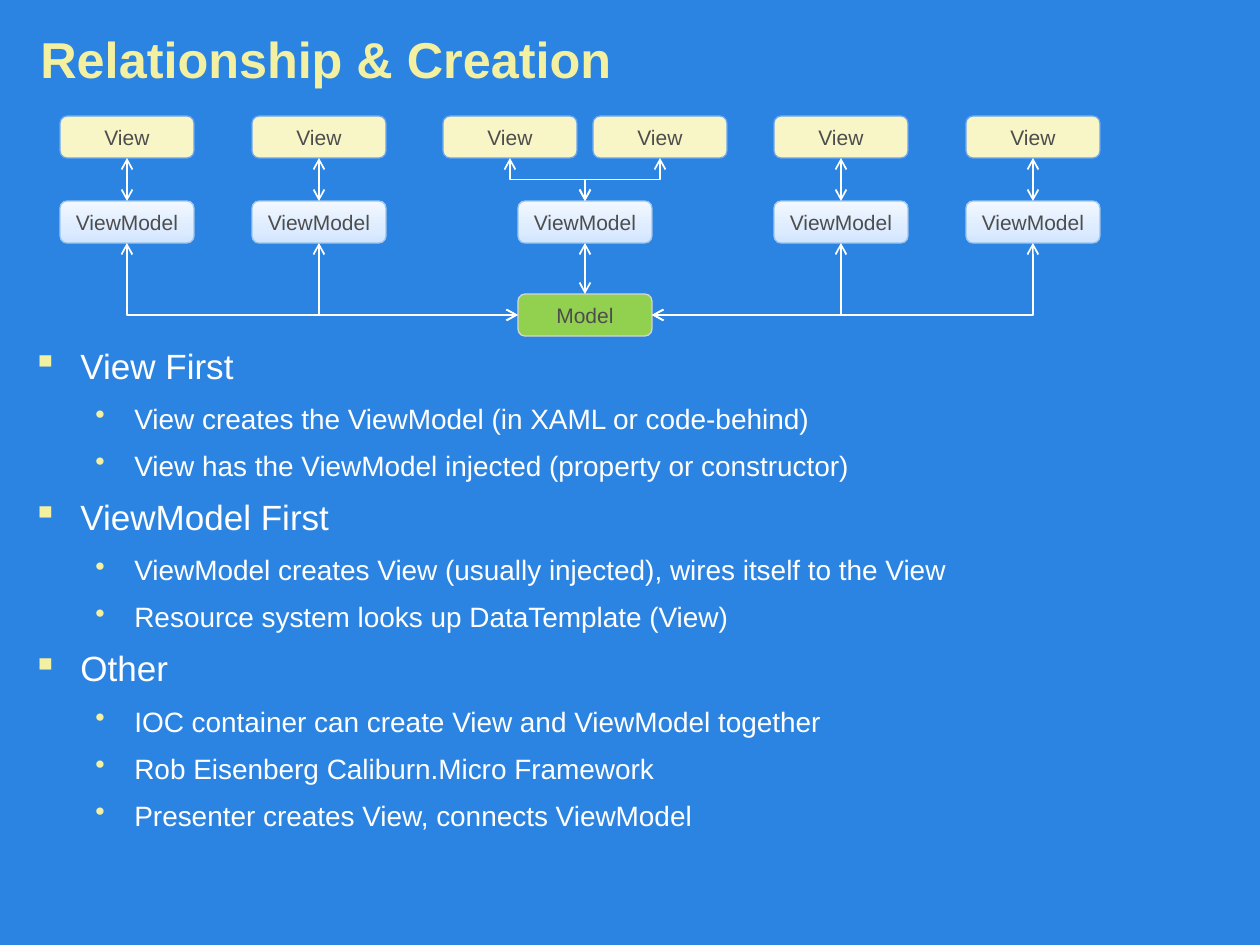
"""Build the Relationship & Creation slide: a View/ViewModel/Model diagram above a bullet list."""
from copy import deepcopy

from lxml.etree import SubElement
from pptx import Presentation
from pptx.dml.color import RGBColor
from pptx.enum.shapes import MSO_CONNECTOR, MSO_SHAPE
from pptx.enum.text import MSO_ANCHOR, PP_ALIGN
from pptx.oxml.ns import qn
from pptx.util import Emu, Pt

TITLE = "Relationship & Creation"
OUTLINE = [
    ("View First", [
        "View creates the ViewModel (in XAML or code-behind)",
        "View has the ViewModel injected (property or constructor)",
    ]),
    ("ViewModel First", [
        "ViewModel creates View (usually injected), wires itself to the View",
        "Resource system looks up DataTemplate (View)",
    ]),
    ("Other", [
        "IOC container can create View and ViewModel together",
        "Rob Eisenberg Caliburn.Micro Framework",
        "Presenter creates View, connects ViewModel",
    ]),
]
BRANCHES = [(60, [60]), (252, [252]), (518, [443, 593]), (774, [774]), (966, [966])]
MODEL_LEFT = 518
VIEW_TOP, VIEWMODEL_TOP, MODEL_TOP = 116, 201, 294
BOX_WIDTH, BOX_HEIGHT = 134, 42
TOP, LEFT, BOTTOM, RIGHT = range(4)

COLORS = {
    "background": "2C84E2", "accent": "F3F0A1", "text": "FFFFFF", "label": "4D4D4D",
    "View": "F8F6C7", "Model": "92D050",
}
BORDERS = {"View": "6BA6EE", "ViewModel": "9BC5F0", "Model": "D5D5D5"}
VIEWMODEL_STOPS = [(0, "D1E5FF"), (0.35, "DEECFF"), (1, "F2F8FF")]
LEVELS = [
    {"size": 20, "bullet": "▪", "margin": 48, "hang": 48},
    {"size": 16, "bullet": "•", "margin": 102, "hang": 39},
]


def px(length):
    return Emu(round(length * 914400 / 126))


def rgb(name):
    return RGBColor.from_string(COLORS.get(name, name))


def set_font(paragraph, size, color, bold=False):
    font = paragraph.font
    font.name, font.size, font.bold = "Arial", Pt(size), bold
    font.color.rgb = rgb(color)


def add_text_frame(slide, left, top, width, height):
    frame = slide.shapes.add_textbox(*map(px, (left, top, width, height))).text_frame
    frame.word_wrap = True
    return frame


def fill_gradient(box, stops):
    box.fill.gradient()
    box.fill.gradient_angle = 90
    stop_list = box._element.spPr.find(".//" + qn("a:gsLst"))
    stop_list.append(deepcopy(stop_list[-1]))
    for stop, (position, color) in zip(box.fill.gradient_stops, stops):
        stop.position = position
        stop.color.rgb = rgb(color)


def add_box(slide, label, left, top):
    box = slide.shapes.add_shape(
        MSO_SHAPE.ROUNDED_RECTANGLE, *map(px, (left, top, BOX_WIDTH, BOX_HEIGHT)))
    box.shadow.inherit = False
    if label == "ViewModel":
        fill_gradient(box, VIEWMODEL_STOPS)
    else:
        box.fill.solid()
        box.fill.fore_color.rgb = rgb(label)
    box.line.color.rgb = rgb(BORDERS[label])
    box.line.width = Pt(0.75)
    frame = box.text_frame
    frame.margin_left = frame.margin_right = 0
    frame.vertical_anchor = MSO_ANCHOR.MIDDLE
    paragraph = frame.paragraphs[0]
    paragraph.text, paragraph.alignment = label, PP_ALIGN.CENTER
    set_font(paragraph, 12, "label")
    return box


def add_arrow(slide, kind, *ends):
    arrow = slide.shapes.add_connector(kind, *(Emu(round(end)) for end in ends))
    arrow.line.color.rgb = rgb("text")
    arrow.line.width = Pt(1)
    line = arrow.line._get_or_add_ln()
    for end in ("a:headEnd", "a:tailEnd"):
        SubElement(line, qn(end), type="arrow")
    SubElement(arrow._element.spPr, qn("a:effectLst"))
    return arrow


def link(slide, start, start_site, end, end_site):
    straight = start_site == BOTTOM
    kind = MSO_CONNECTOR.STRAIGHT if straight else MSO_CONNECTOR.ELBOW
    arrow = add_arrow(slide, kind, 0, 0, 0, 0)
    arrow.begin_connect(start, start_site)
    arrow.end_connect(end, end_site)
    if not straight:
        arrow._element.spPr.find(qn("a:prstGeom")).set("prst", "bentConnector2")


def link_stepped(slide, view, view_model):
    start_x, end_x = (box.left + box.width / 2 for box in (view, view_model))
    start_y, end_y = view.top + view.height, view_model.top
    middle_x, middle_y = (start_x + end_x) / 2, (start_y + end_y) / 2
    half_x, half_y = (end_x - start_x) / 2, (end_y - start_y) / 2
    arrow = add_arrow(slide, MSO_CONNECTOR.ELBOW, middle_x - half_y, middle_y + half_x,
                      middle_x + half_y, middle_y - half_x)
    arrow._element.spPr.find(qn("a:xfrm")).set("rot", str(90 * 60000))


def add_diagram(slide):
    model = add_box(slide, "Model", MODEL_LEFT, MODEL_TOP)
    for left, view_lefts in BRANCHES:
        view_model = add_box(slide, "ViewModel", left, VIEWMODEL_TOP)
        for view_left in view_lefts:
            view = add_box(slide, "View", view_left, VIEW_TOP)
            if view_left == left:
                link(slide, view, BOTTOM, view_model, TOP)
            else:
                link_stepped(slide, view, view_model)
        if left == MODEL_LEFT:
            link(slide, view_model, BOTTOM, model, TOP)
        else:
            link(slide, model, LEFT if left < MODEL_LEFT else RIGHT, view_model, BOTTOM)


def add_title(slide):
    frame = add_text_frame(slide, 28, 25, 1204, 66)
    frame.vertical_anchor = MSO_ANCHOR.MIDDLE
    frame.text = TITLE
    set_font(frame.paragraphs[0], 28.8, "accent", bold=True)


def add_outline(slide):
    frame = add_text_frame(slide, 20, 338, 1204, 504)
    lines = [line for heading, details in OUTLINE
             for line in [(0, heading), *((1, detail) for detail in details)]]
    for index, (level, text) in enumerate(lines):
        paragraph = frame.add_paragraph() if index else frame.paragraphs[0]
        style = LEVELS[level]
        paragraph.text, paragraph.level = text, level
        paragraph.space_before = Pt(3)
        paragraph.space_after = Pt(style["size"] * 0.29)
        set_font(paragraph, style["size"], "text")
        properties = paragraph._p.get_or_add_pPr()
        properties.set("marL", str(px(style["margin"])))
        properties.set("indent", str(-px(style["hang"])))
        bullet_color = properties.makeelement(qn("a:buClr"))
        SubElement(bullet_color, qn("a:srgbClr"), val=COLORS["accent"])
        bullet = properties.makeelement(qn("a:buChar"), char=style["bullet"])
        properties.find(qn("a:spcAft")).addnext(bullet_color)
        bullet_color.addnext(bullet)


def main():
    deck = Presentation()
    deck.slide_width, deck.slide_height = px(1260), px(945)
    slide = deck.slides.add_slide(deck.slide_layouts[6])
    slide.background.fill.solid()
    slide.background.fill.fore_color.rgb = rgb("background")
    add_title(slide)
    add_outline(slide)
    add_diagram(slide)
    deck.save("out.pptx")


if __name__ == "__main__":
    main()
